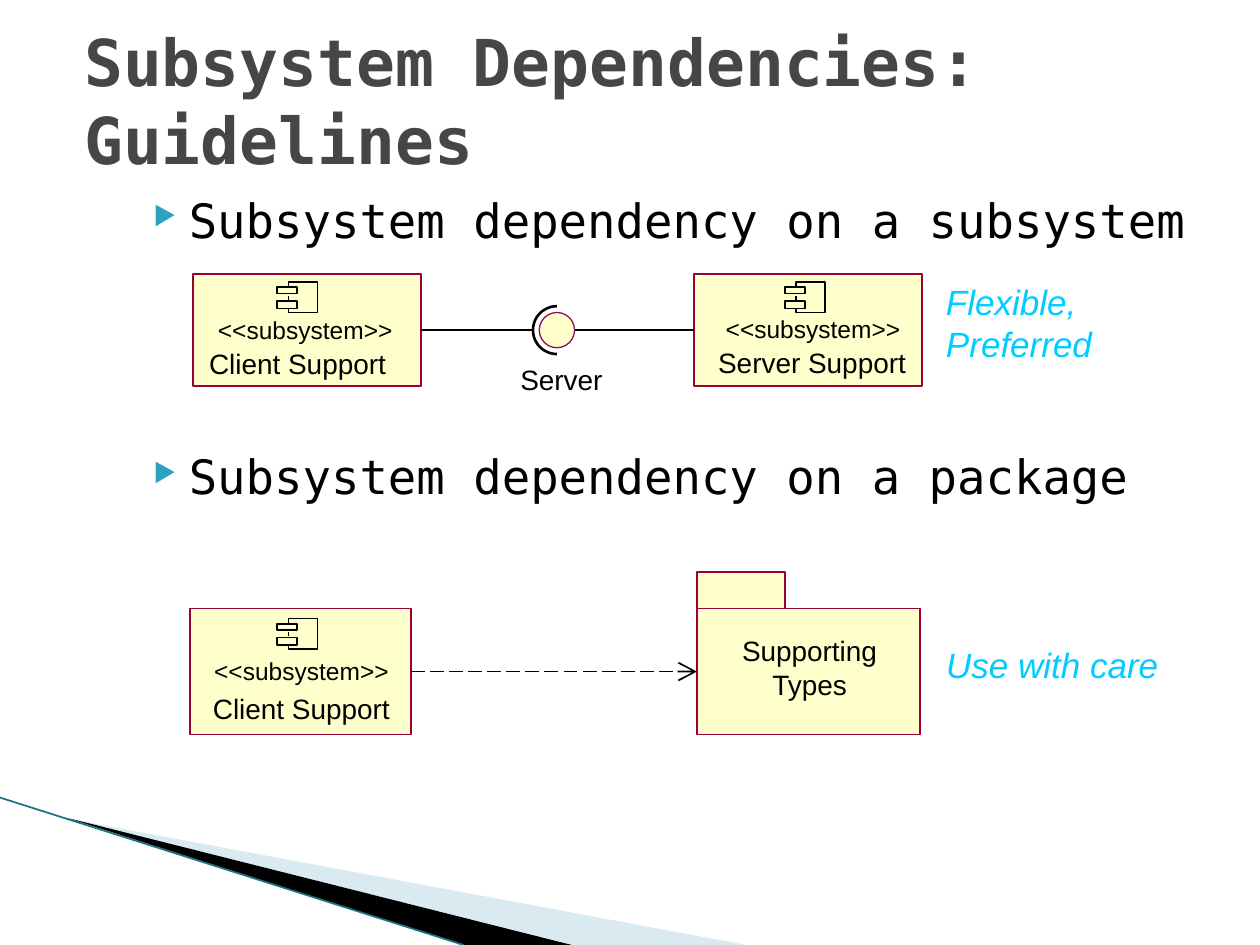
from lxml.etree import SubElement
from pptx import Presentation
from pptx.dml.color import RGBColor
from pptx.enum.dml import MSO_LINE_DASH_STYLE as Dash
from pptx.enum.shapes import MSO_CONNECTOR, MSO_SHAPE as Shape
from pptx.enum.text import MSO_ANCHOR, MSO_AUTO_SIZE, PP_ALIGN
from pptx.oxml.ns import qn
from pptx.util import Inches, Pt

BLACK = RGBColor(0x00, 0x00, 0x00)
TITLE_GRAY = RGBColor(0x46, 0x46, 0x46)
CYAN = RGBColor(0x00, 0xCC, 0xFF)
CREAM = RGBColor(0xFF, 0xFF, 0xCC)
MAROON = RGBColor(0x99, 0x00, 0x33)
PLUM = RGBColor(0x8A, 0x0E, 0x5E)
TEAL = RGBColor(0x1E, 0x72, 0x85)
PALE_BLUE = RGBColor(0xA0, 0xCB, 0xDC)
BULLET_COLOR = RGBColor(0x2D, 0xA2, 0xBF)
MONO, SANS = "DejaVu Sans Mono", "Arial"
COLUMNS, ROWS = 100, 75
WIDTH, HEIGHT = Inches(10), Inches(7.5)


def grid(*lengths):
    """Turn alternating columns and rows into slide lengths."""
    cells = (WIDTH / COLUMNS, HEIGHT / ROWS)
    return [round(length * cells[i % 2]) for i, length in enumerate(lengths)]


def style(shape, fill=None, line=None, width=1):
    shape.shadow.inherit = False
    if fill is None:
        shape.fill.background()
    else:
        shape.fill.solid()
        shape.fill.fore_color.rgb = fill
    if line is None:
        shape.line.fill.background()
    else:
        shape.line.color.rgb = line
        shape.line.width = Pt(width)
    return shape


def add_preset(slide, kind, box, **look):
    return style(slide.shapes.add_shape(kind, *grid(*box)), **look)


def add_outline(slide, points, closed=True, **look):
    start, *rest = [grid(*point) for point in points]
    builder = slide.shapes.build_freeform(*start, scale=1.0)
    builder.add_line_segments(rest, close=closed)
    return style(builder.convert_to_shape(), **look)


def add_line(slide, start, end, color=BLACK):
    line = slide.shapes.add_connector(
        MSO_CONNECTOR.STRAIGHT, *grid(*start), *grid(*end))
    line.line.color.rgb = color
    line.line.width = Pt(1)
    SubElement(line._element.spPr, qn("a:effectLst"))
    return line


def add_text(slide, box, text, size, font=SANS, color=BLACK, inset=True):
    frame = slide.shapes.add_textbox(*grid(*box)).text_frame
    frame.word_wrap = True
    frame.auto_size = MSO_AUTO_SIZE.NONE
    if not inset:
        frame.margin_left = frame.margin_right = 0
        frame.margin_top = frame.margin_bottom = 0
    frame.text = text
    for paragraph in frame.paragraphs:
        paragraph.font.size = Pt(size)
        paragraph.font.name = font
        paragraph.font.color.rgb = color
    return frame


def add_label(slide, corner, text, size=16):
    """Write one line of text in a box with room to spare on the right."""
    add_text(slide, (*corner, 15.6, 2.7), text, size, inset=False)


def add_note(slide, box, text):
    add_text(slide, box, text, 20, color=CYAN).paragraphs[0].font.italic = True


def add_bullet(paragraph):
    properties = paragraph._p.get_or_add_pPr()
    properties.set("marL", str(Inches(0.4)))
    properties.set("indent", str(Inches(-0.28)))
    color = SubElement(properties, qn("a:buClr"))
    SubElement(color, qn("a:srgbClr"), val=str(BULLET_COLOR))
    SubElement(properties, qn("a:buSzPct"), val="55000")
    SubElement(properties, qn("a:buChar"), char="▶")


def add_component_icon(slide, left, top):
    for offset, height in ((1.5, 0.6), (0.4, 0.5)):
        add_preset(slide, Shape.RECTANGLE, (left, top + offset, 1.6, height), line=BLACK)
    inner, right = left + 0.9, left + 3.2
    add_outline(slide, [(inner, top + 0.4), (inner, top), (right, top),
                        (right, top + 2.4), (inner, top + 2.4), (inner, top + 2.1)],
                closed=False, line=BLACK)
    add_line(slide, (inner, top + 1.1), (inner, top + 1.4))


def add_subsystem(slide, box, icon, stereotype, name, text):
    """Draw a subsystem box; icon, stereotype and name are top-left corners."""
    body = add_preset(slide, Shape.RECTANGLE, box, fill=CREAM, line=MAROON)
    add_component_icon(slide, *icon)
    add_label(slide, stereotype, "<<subsystem>>", 14)
    add_label(slide, name, text)
    return body


def add_package(slide):
    body = add_preset(slide, Shape.RECTANGLE, (55.3, 48.3, 17.7, 10),
                      fill=CREAM, line=MAROON)
    add_preset(slide, Shape.RECTANGLE, (55.3, 45.4, 7, 2.9), fill=CREAM, line=MAROON)
    frame = add_text(slide, (58.5, 50.3, 11.5, 5.3), "Supporting\vTypes", 16, inset=False)
    frame.paragraphs[0].alignment = PP_ALIGN.CENTER
    return body


def add_background(slide):
    pale = add_outline(slide, [(5.5, 65), (59.2, 75), (45.6, 75)], fill=PALE_BLUE)
    color = pale.fill._xPr.find(qn("a:solidFill"))[0]
    SubElement(color, qn("a:alpha"), val="40000")
    add_outline(slide, [(5.3, 64.9), (45.4, 75), (36.8, 75)], fill=BLACK)
    add_line(slide, (0, 63.3), (36.8, 75), TEAL)


def add_headings(slide):
    title = add_text(slide, (5.7, 2.9, 85, 10), "Subsystem Dependencies: Guidelines",
                     36.9, MONO, TITLE_GRAY)
    title.vertical_anchor = MSO_ANCHOR.MIDDLE
    title.paragraphs[0].font.bold = True
    body = add_text(slide, (10, 14.7, 86, 49), "Subsystem dependency on a subsystem\n"
                    "Subsystem dependency on a package", 27, MONO)
    for paragraph in body.paragraphs:
        add_bullet(paragraph)
    body.paragraphs[1].space_before = Pt(114)


def add_interface_example(slide):
    middle = 26.2
    client = add_subsystem(slide, (15.3, 21.75, 18.1, 8.9), (22, 22.4),
                           (17.3, 25), (16.6, 27.5), "Client Support")
    server = add_subsystem(slide, (55.1, 21.75, 18.1, 8.9), (62.3, 22.4),
                           (57.6, 24.9), (57, 27.4), "Server Support")
    add_line(slide, (33.4, middle), (42.3, middle)).begin_connect(client, 3)
    add_line(slide, (45.6, middle), (55.1, middle)).end_connect(server, 1)
    add_preset(slide, Shape.OVAL, (42.8, middle - 1.4, 2.8, 2.8),
               fill=CREAM, line=PLUM, width=0)
    socket = add_preset(slide, Shape.ARC, (42.3, middle - 1.9, 3.8, 3.8),
                        line=BLACK, width=1.5)
    socket.adjustments[0], socket.adjustments[1] = 54, 162
    add_label(slide, (41.3, 28.8), "Server")
    add_note(slide, (74.1, 21.8, 16.7, 7.7), "Flexible, Preferred")


def add_package_example(slide):
    client = add_subsystem(slide, (15.1, 48.3, 17.5, 10), (22, 49.1),
                           (17, 52.1), (16.9, 54.9), "Client Support")
    package = add_package(slide)
    dependency = add_line(slide, (32.6, 53.3), (55.3, 53.3))
    dependency.begin_connect(client, 3)
    dependency.end_connect(package, 1)
    dependency.line.dash_style = Dash.LONG_DASH
    SubElement(dependency.line._get_or_add_ln(), qn("a:tailEnd"),
               type="arrow", w="lg", len="lg")
    add_note(slide, (74.1, 50.6, 24.5, 4.3), "Use with care")


def main():
    presentation = Presentation()
    presentation.slide_width, presentation.slide_height = WIDTH, HEIGHT
    slide = presentation.slides.add_slide(presentation.slide_layouts[6])
    add_background(slide)
    add_headings(slide)
    add_interface_example(slide)
    add_package_example(slide)
    presentation.save("out.pptx")


if __name__ == "__main__":
    main()
